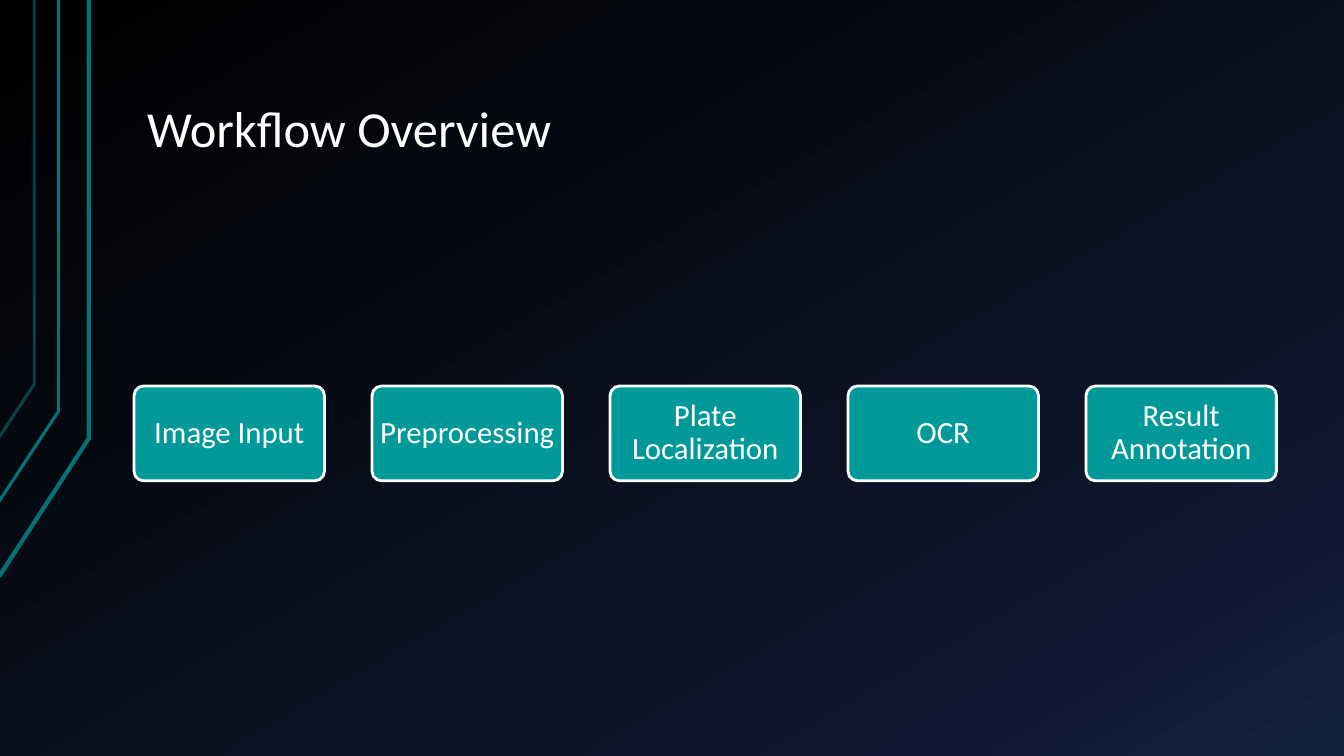
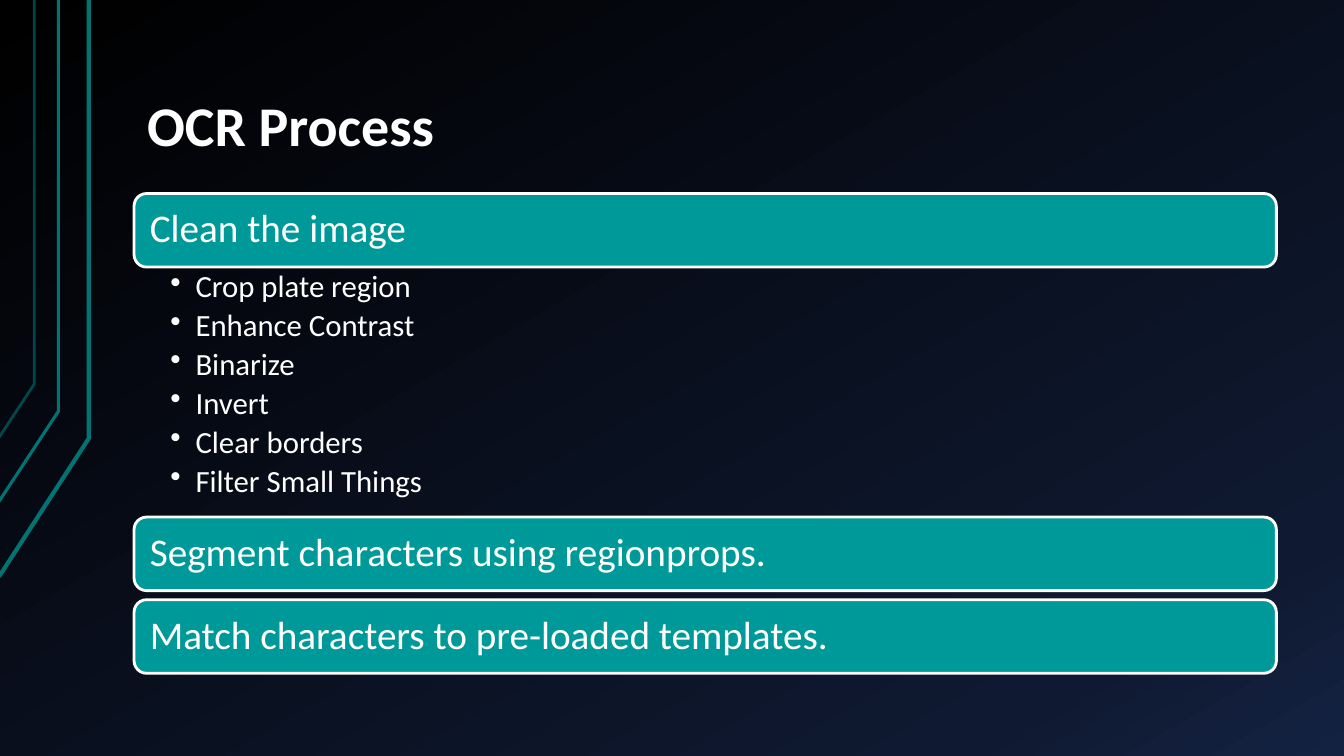
import copy

from lxml import etree
from pptx import Presentation
from pptx import util as u
from pptx.dml.color import RGBColor
from pptx.enum import shapes, text
from pptx.oxml import ns

WORKFLOW_TITLE = "Workflow Overview"
WORKFLOW_STEPS = ["Image Input", "Preprocessing", "Plate Localization", "OCR", "Result Annotation"]

OCR_TITLE = "OCR Process"
OCR_STAGES = [
    ("Clean the image", ["Crop plate region", "Enhance Contrast", "Binarize",
                         "Invert", "Clear borders", "Filter Small Things"]),
    ("Segment characters using regionprops.", []),
    ("Match characters to pre-loaded templates.", []),
]

FONT = "Calibri"
WHITE = RGBColor(0xFF, 0xFF, 0xFF)
TEAL = RGBColor(0x00, 0x99, 0x99)
DARK_TEAL = RGBColor(0x00, 0x73, 0x73)
BLACK = RGBColor(0x00, 0x00, 0x00)
NAVY = RGBColor(0x0F, 0x19, 0x31)
BLUE = RGBColor(0x14, 0x22, 0x42)

# Points from bottom to top, line width, opacity in percent
CIRCUIT_LINES = [
    ([(-0.01, 5.72), (0.88, 4.35), (0.88, 0)], 3, 100),
    ([(-0.02, 4.99), (0.58, 4.08), (0.58, 0)], 2.25, 100),
    ([(-0.01, 4.34), (0.34, 3.81), (0.34, 0)], 2, 60),
]

SLIDE_WIDTH, SLIDE_HEIGHT = 13.33, 7.5
LEFT, WIDTH = 1.33, 11.33
STEP_HEIGHT = 0.94
STEP_GAP_SHARE = 0.25
STAGE_TOP, STAGE_HEIGHT, STAGE_GAP = 1.92, 0.73, 0.09
LIST_HEIGHT = 2.48


def paint_background(master):
    fill = master.background.fill
    fill.gradient()
    fill.gradient_angle = 300
    first, last = fill.gradient_stops
    last.color.rgb = NAVY
    last.position = 0.85
    first.color.rgb = BLACK
    first.position = 0
    stop_list = master.element.find(".//" + ns.qn("a:gsLst"))
    stop_list.append(copy.deepcopy(stop_list[-1]))
    end = fill.gradient_stops[2]
    end.color.rgb = BLUE
    end.position = 1


def draw_circuit_line(slide, points, width, opacity):
    corners = [(u.Inches(x), u.Inches(y)) for x, y in points]
    builder = slide.shapes.build_freeform(*corners[0])
    builder.add_line_segments(corners[1:], close=False)
    line = builder.convert_to_shape()
    line.shadow.inherit = False
    line.fill.background()
    line.line.color.rgb = DARK_TEAL
    line.line.width = u.Pt(width)
    if opacity < 100:
        color = line.line._get_or_add_ln().find(".//" + ns.qn("a:srgbClr"))
        etree.SubElement(color, ns.qn("a:alpha"), val=str(opacity * 1000))


def write(shape, lines, size, insets, anchor, align=text.PP_ALIGN.LEFT,
          bold=False, bullet=False, space_after=0):
    """Fill a shape with one paragraph per line; insets are left, top, right, bottom."""
    frame = shape.text_frame
    frame.word_wrap = True
    frame.vertical_anchor = anchor
    (frame.margin_left, frame.margin_top,
     frame.margin_right, frame.margin_bottom) = map(u.Inches, insets)
    for index, words in enumerate(lines):
        para = frame.add_paragraph() if index else frame.paragraphs[0]
        para.text = words
        para.alignment = align
        para.line_spacing = 0.9
        para.space_after = u.Pt(space_after)
        if bullet:
            props = para._p.get_or_add_pPr()
            props.set("marL", str(u.Inches(0.25)))
            props.set("indent", str(-u.Inches(0.25)))
            etree.SubElement(props, ns.qn("a:buChar"), char="•")
        para.font.name = FONT
        para.font.size = u.Pt(size)
        para.font.bold = bold
        para.font.color.rgb = WHITE


def add_text(slide, area, lines, **style):
    write(slide.shapes.add_textbox(*map(u.Inches, area)), lines, **style)


def add_box(slide, area, words, corner, size, inset, align):
    box = slide.shapes.add_shape(shapes.MSO_SHAPE.ROUNDED_RECTANGLE, *map(u.Inches, area))
    box.adjustments[0] = corner
    box.shadow.inherit = False
    box.fill.solid()
    box.fill.fore_color.rgb = TEAL
    box.line.color.rgb = WHITE
    box.line.width = u.Pt(2)
    write(box, [words], size, inset, text.MSO_ANCHOR.MIDDLE, align)


def add_slide(deck, title, title_size, bold=False):
    slide = deck.slides.add_slide(deck.slide_layouts[6])
    for circuit_line in CIRCUIT_LINES:
        draw_circuit_line(slide, *circuit_line)
    add_text(slide, (LEFT, 0.3, WIDTH, 1.34), [title], size=title_size, bold=bold,
             insets=(0.13, 0.07, 0.13, 0.07), anchor=text.MSO_ANCHOR.BOTTOM)
    return slide


def build_workflow(deck):
    slide = add_slide(deck, WORKFLOW_TITLE, 36)
    count = len(WORKFLOW_STEPS)
    step_width = WIDTH / (count + (count - 1) * STEP_GAP_SHARE)
    pitch = step_width * (1 + STEP_GAP_SHARE)
    for column, step in enumerate(WORKFLOW_STEPS):
        area = (LEFT + column * pitch, 3.83, step_width, STEP_HEIGHT)
        add_box(slide, area, step, 0.1, 22, (0.05, 0.03, 0.05, 0.03), text.PP_ALIGN.CENTER)


def build_ocr_process(deck):
    slide = add_slide(deck, OCR_TITLE, 40, bold=True)
    top = STAGE_TOP
    for stage, details in OCR_STAGES:
        add_box(slide, (LEFT, top, WIDTH, STAGE_HEIGHT), stage, 0.17, 28,
                (0.12,) * 4, text.PP_ALIGN.LEFT)
        top += STAGE_HEIGHT
        if details:
            add_text(slide, (LEFT, top, WIDTH, LIST_HEIGHT), details, size=22, bullet=True,
                     space_after=4, insets=(0.36, 0.04, 0.22, 0.04),
                     anchor=text.MSO_ANCHOR.TOP)
            top += LIST_HEIGHT
        else:
            top += STAGE_GAP


def main():
    deck = Presentation()
    deck.slide_width = u.Inches(SLIDE_WIDTH)
    deck.slide_height = u.Inches(SLIDE_HEIGHT)
    paint_background(deck.slide_master)
    build_workflow(deck)
    build_ocr_process(deck)
    deck.save("out.pptx")


if __name__ == "__main__":
    main()
